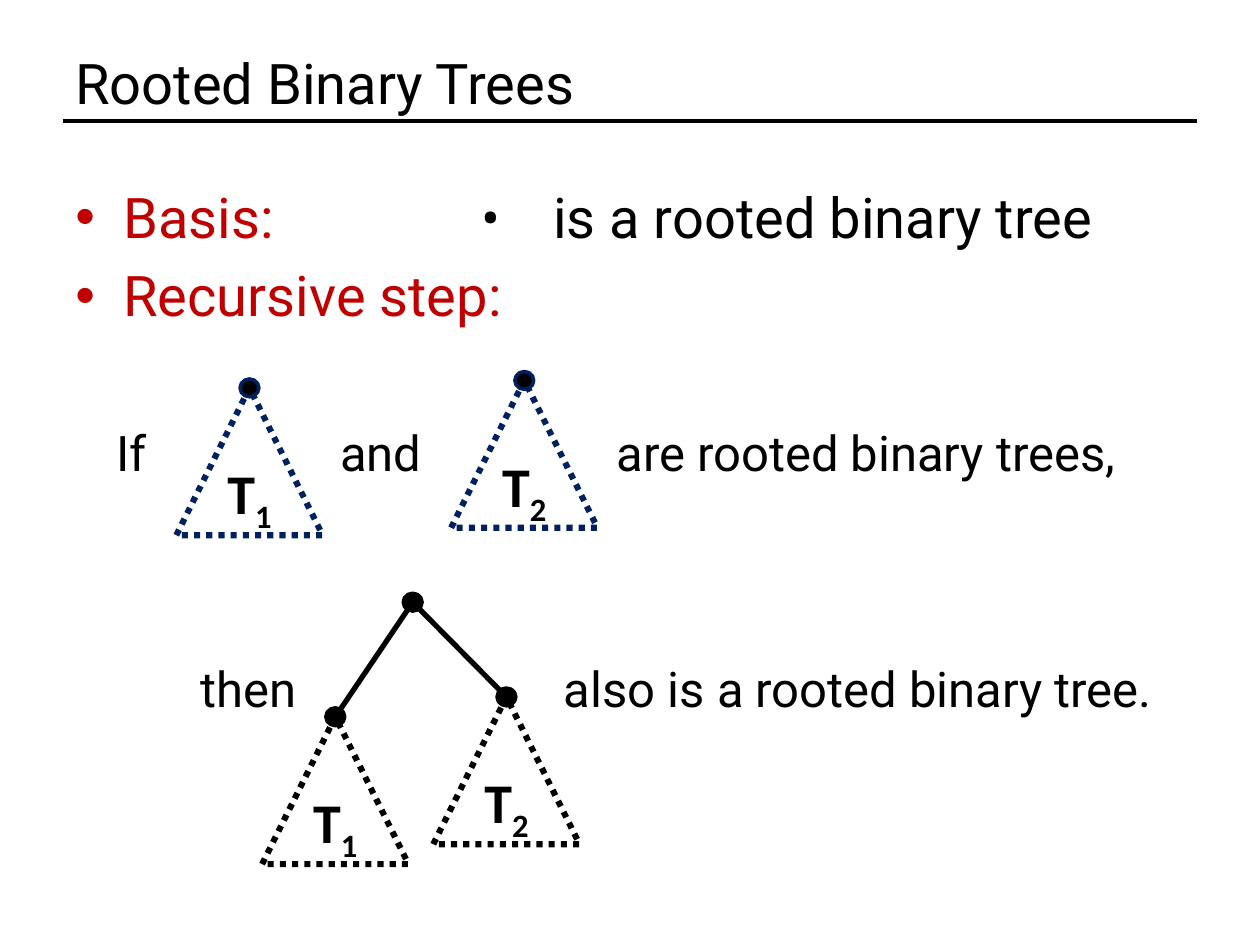
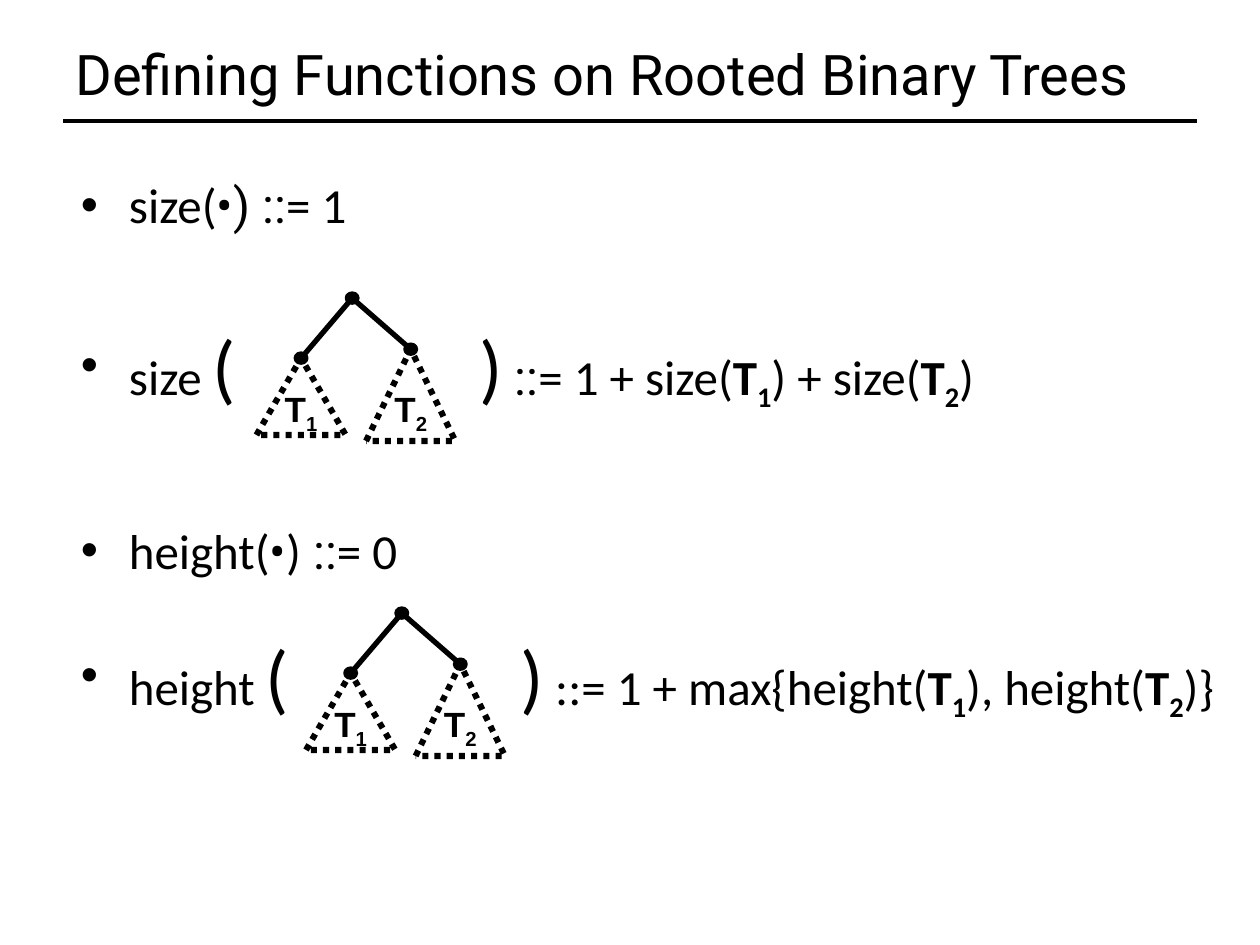
from collections import namedtuple

from lxml.etree import SubElement
from pptx import Presentation
from pptx.dml.color import RGBColor
from pptx.enum.dml import MSO_LINE_DASH_STYLE as Dash
from pptx.enum.shapes import MSO_CONNECTOR as Connector, MSO_SHAPE as Shape
from pptx.enum.text import MSO_ANCHOR as Anchor, PP_ALIGN as Align
from pptx.oxml.ns import qn
from pptx.util import Cm, Pt

BLACK, RED, NAVY = "000000", "C00000", "002060"
SLIDE_WIDTH, SLIDE_HEIGHT = 25.4, 19.05
ASCENT = {"Roboto": 0.93, "Calibri": 0.95, "Arial": 0.91}
CM_PER_POINT = 2.54 / 72
LARGE_NODE = (0.38, 0.36)
SMALL_NODE = (0.23, 0.2)

Run = namedtuple("Run", "text size font bold sub", defaults=(None, None, None, False))


def color(hex_string):
    return RGBColor.from_string(hex_string)


def tree_name(number):
    return [Run("T", bold=True), Run(number, bold=True, sub=True)]


class Deck:
    def __init__(self):
        self.show = Presentation()
        self.show.slide_width = Cm(SLIDE_WIDTH)
        self.show.slide_height = Cm(SLIDE_HEIGHT)
        self.slide = None

    def start_slide(self, title, baseline):
        self.slide = self.show.slides.add_slide(self.show.slide_layouts[6])
        self.line((1.27, 2.44), (24.13, 2.44), 2)
        self.phrase(1.52, baseline, [Run(title)], 32)

    def line(self, start, end, weight):
        line = self.slide.shapes.add_connector(
            Connector.STRAIGHT, *(Cm(value) for value in start + end))
        line.line.color.rgb = color(BLACK)
        line.line.width = Pt(weight)
        SubElement(line._element.spPr, qn("a:effectLst"))

    def set_text(self, frame, runs, size, font, ink):
        frame.margin_left = frame.margin_right = 0
        frame.margin_top = frame.margin_bottom = 0
        frame.word_wrap = True
        paragraph = frame.paragraphs[0]
        paragraph.font.size = Pt(size)
        paragraph.font.name = font
        paragraph.font.color.rgb = color(ink)
        for part in runs:
            run = paragraph.add_run()
            run.text = part.text
            if part.size:
                run.font.size = Pt(part.size)
            if part.font:
                run.font.name = part.font
            if part.bold:
                run.font.bold = True
            if part.sub:
                run._r.get_or_add_rPr().set("baseline", "-25000")
        return paragraph

    def phrase(self, left, baseline, runs, size, font="Roboto", ink=BLACK, width=None):
        tallest = max(run.size or size for run in runs) * CM_PER_POINT
        box = self.slide.shapes.add_textbox(
            Cm(left), Cm(baseline - ASCENT[font] * tallest),
            Cm(width or SLIDE_WIDTH - left), Cm(1.25 * tallest))
        return self.set_text(box.text_frame, runs, size, font, ink)

    def bullet(self, left, baseline, runs, size, font="Roboto", ink=BLACK):
        paragraph = self.phrase(left, baseline, runs, size, font, ink)
        properties = paragraph._p.get_or_add_pPr()
        properties.set("marL", str(Cm(0.97)))
        properties.set("indent", str(-Cm(0.97)))
        mark_font = properties.makeelement(qn("a:buFont"), {"typeface": "Arial"})
        mark = properties.makeelement(qn("a:buChar"), {"char": "•"})
        properties.insert(0, mark_font)
        properties.insert(1, mark)

    def shape(self, kind, left, top, width, height, ink, weight, fill=None):
        shape = self.slide.shapes.add_shape(kind, Cm(left), Cm(top), Cm(width), Cm(height))
        shape.shadow.inherit = False
        shape.line.color.rgb = color(ink)
        shape.line.width = Pt(weight)
        if fill:
            shape.fill.solid()
            shape.fill.fore_color.rgb = color(fill)
        else:
            shape.fill.background()
        return shape

    def node(self, center, size, ink=BLACK):
        (x, y), (width, height) = center, size
        self.shape(Shape.OVAL, x - width / 2, y - height / 2, width, height, ink, 2, BLACK)

    def subtree(self, apex, size, node_size, ink=BLACK):
        (x, y), (width, height) = apex, size
        triangle = self.shape(Shape.ISOSCELES_TRIANGLE, x - width / 2, y,
                              width, height, ink, 3.5)
        triangle.line.dash_style = Dash.ROUND_DOT
        self.node(apex, node_size, ink)
        return triangle

    def large_subtree(self, apex, number, ink=BLACK):
        triangle = self.subtree(apex, (2.95, 2.97), LARGE_NODE, ink)
        triangle.text_frame.vertical_anchor = Anchor.MIDDLE
        name = self.set_text(triangle.text_frame, tree_name(number), 32, "Calibri", BLACK)
        name.alignment = Align.CENTER
        name.line_spacing = 0.7

    def branch(self, root, children, node_size):
        for child in children:
            self.line(root, child, 3)
        self.node(root, node_size)

    def small_tree(self, x, y):
        children = (x - 1.03, y + 1.21), (x + 1.18, y + 1.03)
        self.branch((x, y), children, SMALL_NODE)
        for number, apex, height in zip("12", children, (1.55, 1.85)):
            self.subtree(apex, (1.8, height), SMALL_NODE)
            name = self.phrase(apex[0] - 0.9, y + 2.45, tree_name(number), 20,
                               "Arial", width=1.8)
            name.alignment = Align.CENTER


def rooted_binary_trees(deck):
    deck.start_slide("Rooted Binary Trees", 2.02)
    deck.bullet(1.52, 4.72, [Run("Basis:")], 32, ink=RED)
    deck.bullet(1.52, 6.31, [Run("Recursive step:")], 32, ink=RED)
    for left, baseline, words, size in [
        (9.7, 4.72, "•", 32),
        (11.15, 4.72, "is a rooted binary tree", 32),
        (2.34, 9.43, "If", 28),
        (6.86, 9.43, "and", 28),
        (12.43, 9.43, "are rooted binary trees,", 28),
        (4.05, 14.19, "then", 28),
        (11.37, 14.19, "also is a rooted binary tree.", 28),
    ]:
        deck.phrase(left, baseline, [Run(words)], size)

    joined = (6.76, 14.45), (10.21, 14.05)
    deck.branch((8.32, 12.14), joined, LARGE_NODE)
    for apexes, ink in [(((5.03, 7.82), (10.57, 7.67)), NAVY), (joined, BLACK)]:
        for number, apex in zip("12", apexes):
            deck.large_subtree(apex, number, ink)


def functions_on_trees(deck):
    deck.start_slide("Defining Functions on Rooted Binary Trees", 1.85)
    for baseline, runs in [
        (4.46, [Run("size("), Run("•) ::", font="Roboto"), Run("= 1")]),
        (7.9, [Run("size "), Run("(", size=44)]),
        (11.43, [Run("height("), Run("•", font="Roboto"), Run(")"),
                 Run(" ::", font="Roboto"), Run("= 0")]),
        (14.15, [Run("height "), Run("(", size=44)]),
    ]:
        deck.bullet(1.63, baseline, runs, 28, "Calibri")

    closing = Run(")", size=44)
    first, second = tree_name("1"), tree_name("2")
    deck.phrase(9.66, 7.9, [closing, Run(" ::", font="Roboto"), Run("= 1 + size("), *first,
                            Run(") + size("), *second, Run(")")], 28, "Calibri")
    deck.phrase(10.5, 14.15, [closing, Run(" ::= 1 + max{height("), *first,
                              Run("), height("), *second, Run(")}")], 28, "Calibri")
    deck.small_tree(7.1, 6.01)
    deck.small_tree(8.1, 12.36)


def main():
    deck = Deck()
    rooted_binary_trees(deck)
    functions_on_trees(deck)
    deck.show.save("out.pptx")


if __name__ == "__main__":
    main()
